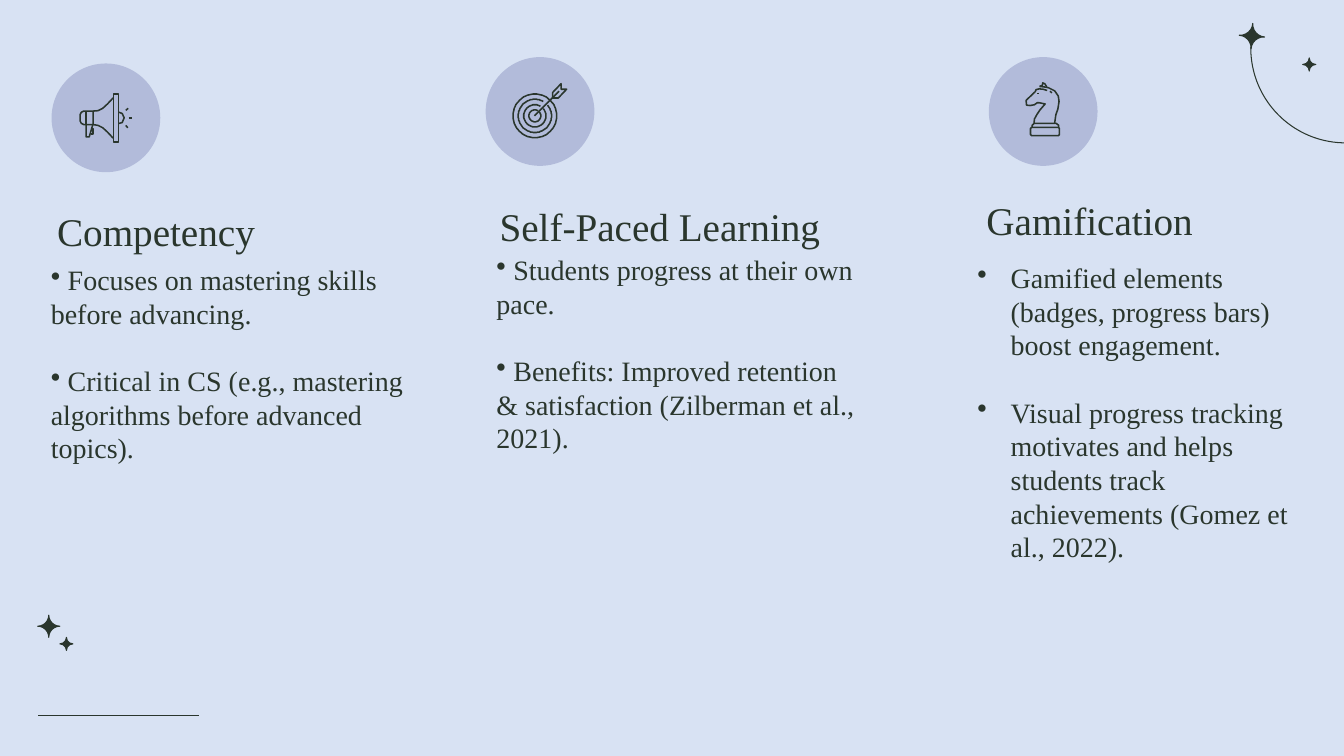
from dataclasses import dataclass
from math import cos, radians, sin

from lxml.etree import SubElement
from pptx import Presentation
from pptx.dml.color import RGBColor
from pptx.enum.shapes import MSO_CONNECTOR, MSO_SHAPE
from pptx.enum.text import MSO_ANCHOR
from pptx.oxml.ns import qn
from pptx.util import Cm, Pt

INK, BADGE, BACKGROUND = "2A362D", "B2BBDA", "D8E2F3"
FONT = "Times New Roman"
BADGE_SIZE = 2.74
ICON_UNIT = Cm(0.01)
THIN, ICON_WEIGHT = 0.75, 1.1

Points = list[tuple[float, float]]


@dataclass
class Box:
    left: float
    top: float
    width: float
    height: float

    def lengths(self) -> list[Cm]:
        return [Cm(value) for value in (self.left, self.top, self.width, self.height)]


@dataclass
class Sparkle:
    left: float
    top: float
    size: float
    rotation: float = 0


@dataclass
class Stroke:
    """An icon line, in hundredths of a centimetre from the badge centre."""
    points: Points
    closed: bool = False


@dataclass
class Icon:
    outline: list[Stroke]
    ticks: list[Points]


@dataclass
class Topic:
    title: str
    title_box: Box
    bullets: list[str]
    body_box: Box
    badge_left: float
    badge_top: float
    icon: Icon
    hanging: bool = False


def ring(radius: float, start: int, end: int) -> Stroke:
    """A circle line round the centre of the target icon."""
    return Stroke([(-13 + radius * cos(radians(angle)), 11 + radius * sin(radians(angle)))
                   for angle in range(start, end + 1, 5)])


MEGAPHONE = Icon([
    Stroke([(19, -60), (32, -60), (32, 61), (19, 61)], True),
    Stroke([(18, -50), (4, -35), (-8, -24), (-20, -18), (-32, -17)]),
    Stroke([(18, 51), (4, 36), (-8, 25), (-20, 19), (-32, 17)]),
    Stroke([(-32, -17), (-56, -17), (-62, -14), (-65, -8), (-65, 8), (-62, 14),
            (-56, 17), (-32, 17)], True),
    Stroke([(-50, -17), (-50, 17)]),
    Stroke([(-50, 17), (-50, 48), (-42, 48), (-33, 17)]),
    Stroke([(-38, 41), (-32, 41), (-32, 27), (-36, 27)]),
    Stroke([(33, -14), (41, -11), (46, 0), (41, 12), (33, 14)]),
], [[(57, 0), (65, 0)], [(50, -19), (56, -24)], [(50, 19), (55, 25)]])
TARGET = Icon([
    ring(55, 0, 360),
    *(ring(radius, -40, 300) for radius in (15, 28, 42)),
    Stroke([(-14, 11), (48, -51)]),
    Stroke([(32, -48), (53, -70), (53, -56), (67, -56), (46, -34), (32, -34)], True),
], [])
KNIGHT = Icon([
    Stroke([(-32, 43), (-29, 40), (38, 40), (41, 43), (41, 58), (38, 61), (-29, 61),
            (-32, 58)], True),
    Stroke([(-28, 39), (-28, 35), (-23, 30), (33, 30), (39, 35), (39, 39)]),
    Stroke([(-23, 29), (-22, 19), (-16, 8), (-8, -4), (5, -19), (0, -20), (-10, -22),
            (-15, -22), (-22, -17), (-33, -15), (-42, -16), (-43, -28), (-20, -50),
            (-18, -55), (-10, -57), (0, -56), (10, -53)]),
    Stroke([(-9, -63), (2, -62), (13, -60), (29, -52), (38, -39), (40, -25), (37, -6),
            (32, 8), (29, 29)]),
    Stroke([(-9, -63), (-2, -66), (-1, -72), (4, -70), (9, -62)]),
], [[(17, -51), (22, -47)], [(-13, -47), (-13, -44)]])

TOPICS = [
    Topic("Competency", Box(1.11, 4.95, 9.37, 1.8),
          [" Focuses on mastering skills before advancing.",
           " Critical in CS (e.g., mastering algorithms before advanced topics)."],
          Box(1.03, 6.49, 9.63, 6.25), 1.3, 1.6, MEGAPHONE),
    Topic("Self-Paced Learning", Box(12.26, 4.87, 10.49, 1.75),
          [" Students progress at their own pace.",
           " Benefits: Improved retention & satisfaction (Zilberman et al., 2021)."],
          Box(12.26, 6.24, 9.63, 5.38), 12.24, 1.44, TARGET),
    Topic("Gamification", Box(24.53, 4.67, 9.37, 1.8),
          ["Gamified elements (badges, progress bars) boost engagement.",
           "Visual progress tracking motivates and helps students track "
           "achievements (Gomez et al., 2022)."],
          Box(23.87, 6.24, 8.99, 8.48), 24.92, 1.44, KNIGHT, hanging=True),
]
SPARKLES = [Sparkle(31.23, 0.59, 0.64, 183.9), Sparkle(32.83, 1.46, 0.33),
            Sparkle(0.95, 15.5, 0.56), Sparkle(1.51, 16.06, 0.33)]


def color(value: str) -> RGBColor:
    return RGBColor.from_string(value)


def style(shape, fill: str | None = None, weight: float | None = None) -> None:
    shape.shadow.inherit = False
    if fill:
        shape.fill.solid()
        shape.fill.fore_color.rgb = color(fill)
    else:
        shape.fill.background()
    if weight:
        shape.line.color.rgb = color(INK)
        shape.line.width = Pt(weight)
    else:
        shape.line.fill.background()


def add_line(slide, start: tuple, end: tuple, weight: float) -> None:
    line = slide.shapes.add_connector(MSO_CONNECTOR.STRAIGHT, *start, *end)
    line.line.color.rgb = color(INK)
    line.line.width = Pt(weight)
    SubElement(line._element.spPr, qn("a:effectLst"))


def add_icon(slide, icon: Icon, center_x: int, center_y: int) -> None:
    builder = slide.shapes.build_freeform(*icon.outline[0].points[0], scale=ICON_UNIT)
    for index, stroke in enumerate(icon.outline):
        if index:
            builder.move_to(*stroke.points[0])
        builder.add_line_segments(stroke.points[1:], close=stroke.closed)
    style(builder.convert_to_shape(center_x, center_y), weight=ICON_WEIGHT)
    for tick in icon.ticks:
        start, end = [(center_x + x * ICON_UNIT, center_y + y * ICON_UNIT) for x, y in tick]
        add_line(slide, start, end, ICON_WEIGHT)


def add_text(slide, box: Box, lines: list[str], size: int, inset: tuple[float, float]):
    text_frame = slide.shapes.add_textbox(*box.lengths()).text_frame
    text_frame.word_wrap = True
    text_frame.margin_left = text_frame.margin_right = Cm(inset[0])
    text_frame.margin_top = text_frame.margin_bottom = Cm(inset[1])
    text_frame.text = "\n".join(lines)
    for paragraph in text_frame.paragraphs:
        font = paragraph.runs[0].font
        font.name, font.size, font.color.rgb = FONT, Pt(size), color(INK)
    return text_frame


def add_bullet(paragraph, hanging: bool) -> None:
    properties = paragraph._p.get_or_add_pPr()
    properties.set("marL", str(Cm(1.27) if hanging else 0))
    properties.set("indent", str(Cm(-0.84) if hanging else 0))
    SubElement(properties, qn("a:buChar"), char="•")


def add_topic(slide, topic: Topic) -> None:
    title = add_text(slide, topic.title_box, [topic.title], 28, (0.33, 0.33))
    title.vertical_anchor = MSO_ANCHOR.BOTTOM

    inset = (0.33, 0.33) if topic.hanging else (0.25, 0.13)
    body = add_text(slide, topic.body_box, topic.bullets, 20, inset)
    for index, paragraph in enumerate(body.paragraphs):
        paragraph.line_spacing = 1.0
        paragraph.space_before = Pt(24 if index else 0)
        add_bullet(paragraph, topic.hanging)

    badge_box = Box(topic.badge_left, topic.badge_top, BADGE_SIZE, BADGE_SIZE)
    style(slide.shapes.add_shape(MSO_SHAPE.OVAL, *badge_box.lengths()), BADGE)
    add_icon(slide, topic.icon, Cm(topic.badge_left + BADGE_SIZE / 2),
             Cm(topic.badge_top + BADGE_SIZE / 2))


def add_decoration(slide) -> None:
    arc = slide.shapes.add_shape(MSO_SHAPE.ARC, *Box(31.52, -1.18, 4.78, 4.78).lengths())
    arc.adjustments[0], arc.adjustments[1] = 162, 0.4
    arc.rotation = 180
    style(arc, weight=THIN)
    for sparkle in SPARKLES:
        box = Box(sparkle.left, sparkle.top, sparkle.size, sparkle.size)
        star = slide.shapes.add_shape(MSO_SHAPE.PLAQUE, *box.lengths())
        star.adjustments[0] = 0.5
        star.rotation = sparkle.rotation
        style(star, INK, THIN)
    add_line(slide, (Cm(5.01), Cm(18.03)), (Cm(0.95), Cm(18.03)), THIN)


def main() -> None:
    presentation = Presentation()
    presentation.slide_width, presentation.slide_height = Cm(33.87), Cm(19.05)
    slide = presentation.slides.add_slide(presentation.slide_layouts[6])
    slide.background.fill.solid()
    slide.background.fill.fore_color.rgb = color(BACKGROUND)
    add_decoration(slide)
    for topic in TOPICS:
        add_topic(slide, topic)
    presentation.save("out.pptx")


if __name__ == "__main__":
    main()
